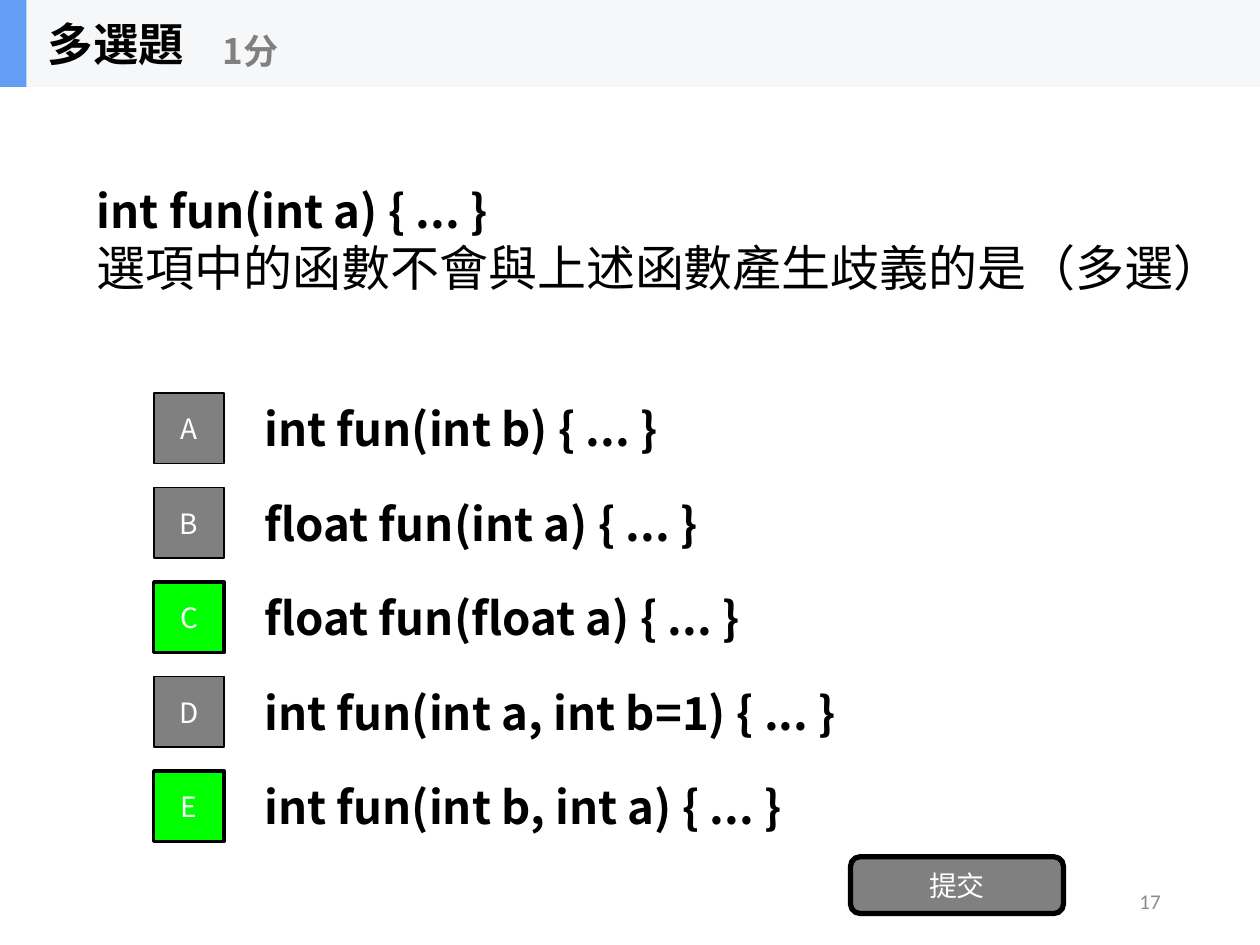
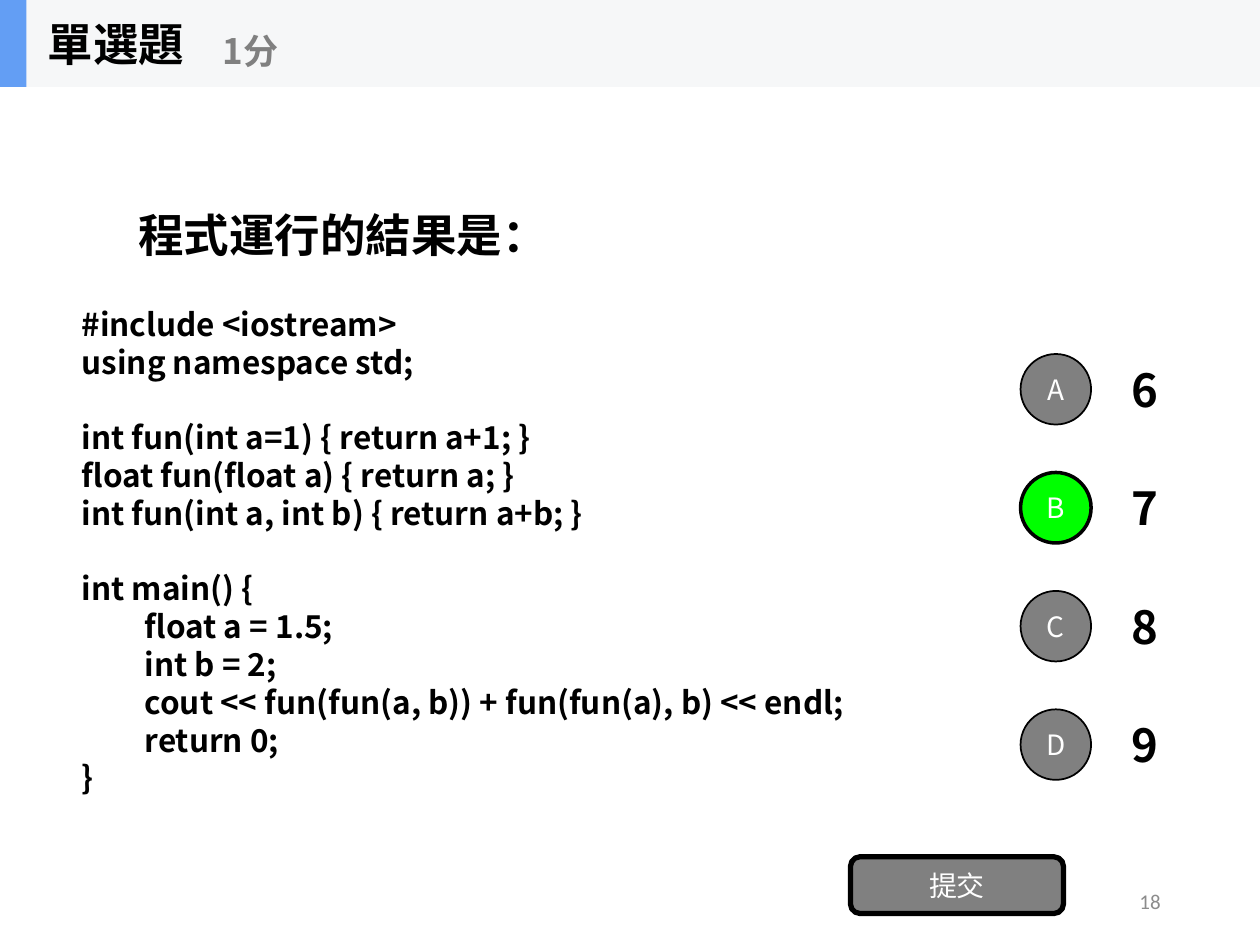
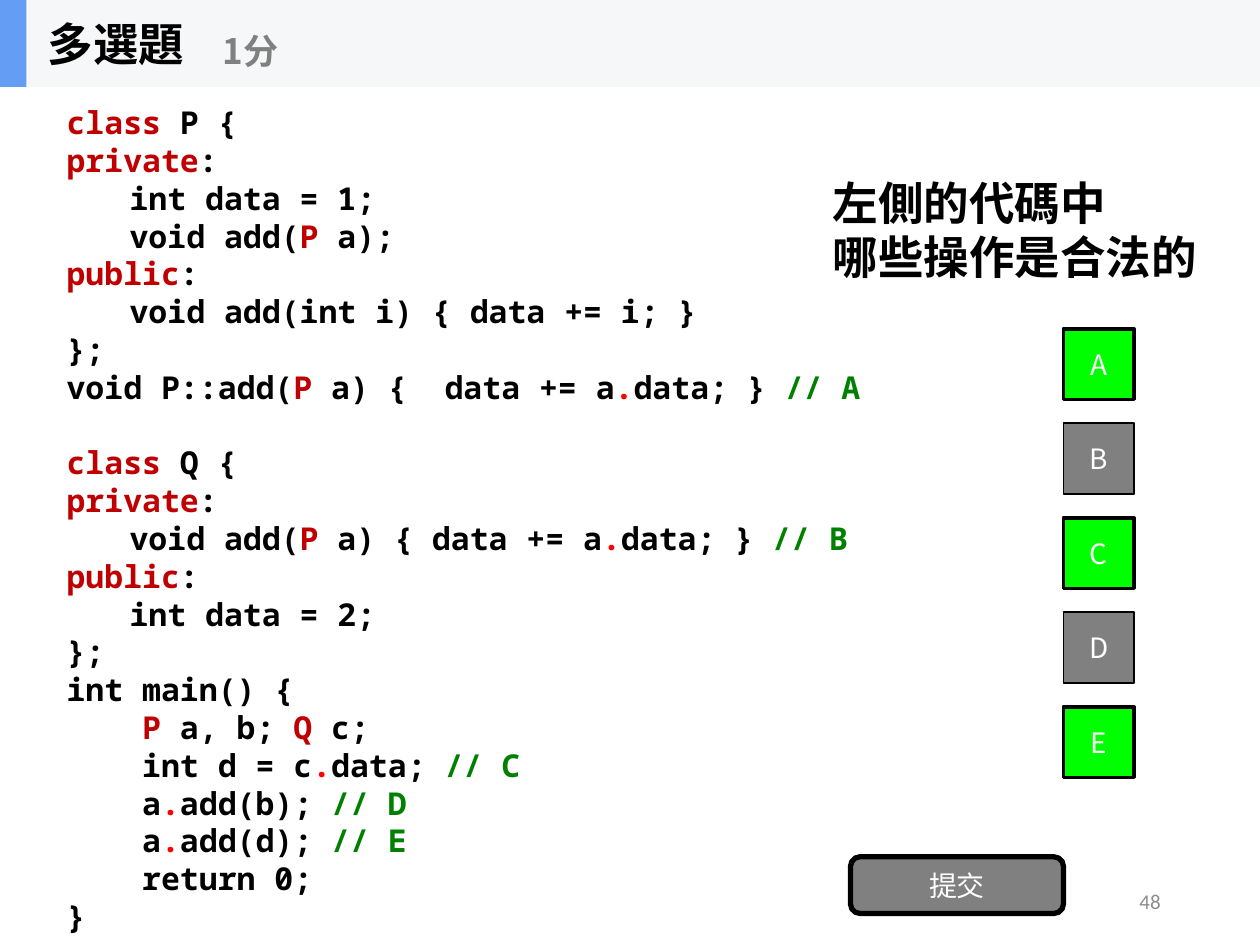
"""Build three quiz slides about C++ overloading and access control."""
import lxml.etree
import pptx
import pptx.dml.color
import pptx.enum.shapes
import pptx.enum.text
import pptx.oxml.ns
import pptx.util

Inches = pptx.util.Inches
Pt = pptx.util.Pt
RGBColor = pptx.dml.color.RGBColor
SHAPE = pptx.enum.shapes.MSO_SHAPE
ALIGN = pptx.enum.text.PP_ALIGN
ANCHOR = pptx.enum.text.MSO_ANCHOR
qn = pptx.oxml.ns.qn

BLACK = RGBColor(0x00, 0x00, 0x00)
WHITE = RGBColor(0xFF, 0xFF, 0xFF)
GRAY = RGBColor(0x80, 0x80, 0x80)
NUMBER_GRAY = RGBColor(0x8C, 0x8C, 0x8C)
BAND = RGBColor(0xF6, 0xF7, 0xF8)
ACCENT = RGBColor(0x63, 0x9E, 0xF4)
CORRECT = RGBColor(0x00, 0xFF, 0x00)
KEYWORD = RGBColor(0xC0, 0x00, 0x00)
DOT = RGBColor(0xFF, 0x00, 0x00)
COMMENT = RGBColor(0x00, 0x80, 0x00)

SANS = "Noto Sans CJK SC"
MONO = "Noto Sans Mono"
BODY = "Calibri"

BADGE_SIZE = 0.56
HEADER_HEIGHT = 0.69
LINE_FACTOR = 1.2
CODE_SIZE = 18

RESULT_CODE = """#include <iostream>
using namespace std;

int fun(int a=1) { return a+1; }
float fun(float a) { return a; }
int fun(int a, int b) { return a+b; }

int main() {
\tfloat a = 1.5;
\tint b = 2;
\tcout << fun(fun(a, b)) + fun(fun(a), b) << endl;
\treturn 0;
}"""

ACCESS_CODE = """|class |P {
|private|:
\tint data = 1;
\tvoid add(|P| a);
|public|:
\tvoid add(int i) { data += i; }
};
void P::add(|P| a) {  data += a|.|data; } |// A|

|class |Q {
|private|:
\tvoid add(|P| a) { data += a|.|data; } |// B|
|public|:
\tint data = 2;
};
int main() {
    |P| a, b; |Q| c;
    int d = c|.|data; |// C|
    a|.|add(b); |// D|
    a|.|add(d); |// E|
    return 0;
}"""

QUIZZES = [
    {
        "title": "多選題", "number": "17", "badge": SHAPE.RECTANGLE,
        "question": [("int fun(int a) { ... }", 26, SANS, True),
                     ("選項中的函數不會與上述函數產生歧義的是（多選）", 28, BODY, False)],
        "question_at": (0.67, 0.73, 9.24, 2.34),
        "options": ["int fun(int b) { ... }", "float fun(int a) { ... }",
                    "float fun(float a) { ... }", "int fun(int a, int b=1) { ... }",
                    "int fun(int b, int a) { ... }"],
        "correct": "CE", "options_at": (1.22, 3.12), "pitch": 0.75, "option_width": 7,
    },
    {
        "title": "單選題", "number": "18", "badge": SHAPE.OVAL,
        "question": [("程式運行的結果是：", 26, SANS, True)],
        "question_at": (1, 0.69, 8, 2.34),
        "options": ["6", "7", "8", "9"],
        "correct": "B", "options_at": (8.1, 2.81), "pitch": 0.94, "option_width": 1.11,
        "code": RESULT_CODE, "code_font": SANS, "code_at": (0.55, 2.37, 8, 4),
    },
    {
        "title": "多選題", "number": "48", "badge": SHAPE.RECTANGLE,
        "question": [("左側的代碼中\v哪些操作是合法的", 26, SANS, True)],
        "question_at": (6.51, 0.65, 3.21, 2.34),
        "options": [""] * 5,
        "correct": "ACE", "options_at": (8.44, 2.61), "pitch": 0.75, "option_width": 0,
        "code": ACCESS_CODE, "code_font": MONO, "code_at": (0.43, 0.77, 7.68, 6.7),
    },
]


def style(paragraph, size, color=BLACK, bold=False, name=SANS, align=ALIGN.LEFT):
    """Set the alignment and the Latin and East Asian fonts of a paragraph."""
    paragraph.alignment = align
    font = paragraph.font
    font.size, font.bold, font.name = Pt(size), bold, name
    font.color.rgb = color
    properties = paragraph._p.pPr.find(qn("a:defRPr"))
    lxml.etree.SubElement(properties, qn("a:ea"), typeface=SANS)


def add_text_box(slide, box, anchor=ANCHOR.MIDDLE):
    """Add a wrapping text box and return its text frame."""
    frame = slide.shapes.add_textbox(*map(Inches, box)).text_frame
    frame.word_wrap = True
    frame.vertical_anchor = anchor
    return frame


def add_label(slide, box, text, size, **font):
    """Add a text box that holds one styled paragraph."""
    paragraph = add_text_box(slide, box).paragraphs[0]
    paragraph.text = text
    style(paragraph, size, **font)


def add_block(slide, kind, box, fill, line_width=0, text=""):
    """Add a flat filled shape with an optional black outline and white text."""
    shape = slide.shapes.add_shape(kind, *map(Inches, box))
    shape.shadow.inherit = False
    shape.fill.solid()
    shape.fill.fore_color.rgb = fill
    if line_width:
        shape.line.color.rgb = BLACK
        shape.line.width = Pt(line_width)
    else:
        shape.line.fill.background()
    if text:
        shape.text_frame.vertical_anchor = ANCHOR.MIDDLE
        paragraph = shape.text_frame.paragraphs[0]
        paragraph.text = text
        style(paragraph, 16, WHITE, align=ALIGN.CENTER)
    return shape


def add_header(slide, text):
    """Draw the header band and place the title and the score on it."""
    add_block(slide, SHAPE.RECTANGLE, (0, 0, 10, HEADER_HEIGHT), BAND)
    accent = add_block(slide, SHAPE.RECTANGLE, (0, 0, 0.21, HEADER_HEIGHT), ACCENT)
    title = slide.shapes.title
    title.left, title.top, title.width, title.height = map(
        Inches, (0.28, 0, 2.08, HEADER_HEIGHT))
    accent._element.addnext(title._element)
    frame = title.text_frame
    frame.text = text
    frame.auto_size = pptx.enum.text.MSO_AUTO_SIZE.NONE
    frame.vertical_anchor = ANCHOR.MIDDLE
    style(frame.paragraphs[0], 26, bold=True)
    add_label(slide, (1.67, 0.12, 2.5, 0.56), "1分", 20, color=GRAY, bold=True)


def add_question(slide, box, lines):
    """Add the question, with tight line spacing when it has several lines."""
    frame = add_text_box(slide, box)
    several = len(lines) > 1 or "\v" in lines[0][0]
    for index, (text, size, name, bold) in enumerate(lines):
        paragraph = frame.add_paragraph() if index else frame.paragraphs[0]
        paragraph.text = text
        if several:
            paragraph.line_spacing = Pt(size * LINE_FACTOR)
        style(paragraph, size, bold=bold, name=name)


def add_options(slide, quiz):
    """Add the lettered badges and the answer beside each one."""
    left, first_top = quiz["options_at"]
    for index, (letter, answer) in enumerate(zip("ABCDE", quiz["options"])):
        top = first_top + index * quiz["pitch"]
        fill, width = (CORRECT, 2) if letter in quiz["correct"] else (GRAY, 1)
        add_block(slide, quiz["badge"], (left, top, BADGE_SIZE, BADGE_SIZE),
                  fill, width, letter)
        if answer:
            add_label(slide, (left + 0.78, top - 0.07, quiz["option_width"], 0.7),
                      answer, 26, bold=True)


def highlight(piece):
    """Return the colour of a marked piece of code."""
    if piece == ".":
        return DOT
    return COMMENT if piece.startswith("//") else KEYWORD


def add_code(slide, box, code, name):
    """Add a code listing in which every second piece between bars is coloured."""
    frame = add_text_box(slide, box, ANCHOR.TOP)
    pitch = Pt(CODE_SIZE * LINE_FACTOR)
    paragraph = None
    for group in code.split("\n\n"):
        for index, line in enumerate(group.split("\n")):
            starts_group = paragraph is not None and index == 0
            paragraph = frame.paragraphs[0] if paragraph is None else frame.add_paragraph()
            paragraph.line_spacing = pitch
            if starts_group:
                paragraph.space_before = pitch
            tabs = lxml.etree.SubElement(paragraph._p.get_or_add_pPr(), qn("a:tabLst"))
            lxml.etree.SubElement(tabs, qn("a:tab"), pos=str(Inches(0.5)), algn="l")
            style(paragraph, CODE_SIZE, bold=True, name=name)
            for position, piece in enumerate(line.split("|")):
                if piece:
                    run = paragraph.add_run()
                    run.text = piece
                    if position % 2:
                        run.font.color.rgb = highlight(piece)


def main():
    """Build and save the presentation."""
    presentation = pptx.Presentation()
    presentation.slide_width, presentation.slide_height = Inches(10), Inches(7.5)
    for quiz in QUIZZES:
        slide = presentation.slides.add_slide(presentation.slide_layouts[5])
        add_header(slide, quiz["title"])
        if "code" in quiz:
            add_code(slide, quiz["code_at"], quiz["code"], quiz["code_font"])
        add_question(slide, quiz["question_at"], quiz["question"])
        add_options(slide, quiz)
        add_block(slide, SHAPE.ROUNDED_RECTANGLE, (6.75, 6.8, 1.69, 0.45), GRAY, 3, "提交")
        add_label(slide, (7.06, 6.95, 2.25, 0.4), quiz["number"], 12,
                  color=NUMBER_GRAY, name=BODY, align=ALIGN.RIGHT)
    presentation.save("out.pptx")


if __name__ == "__main__":
    main()
